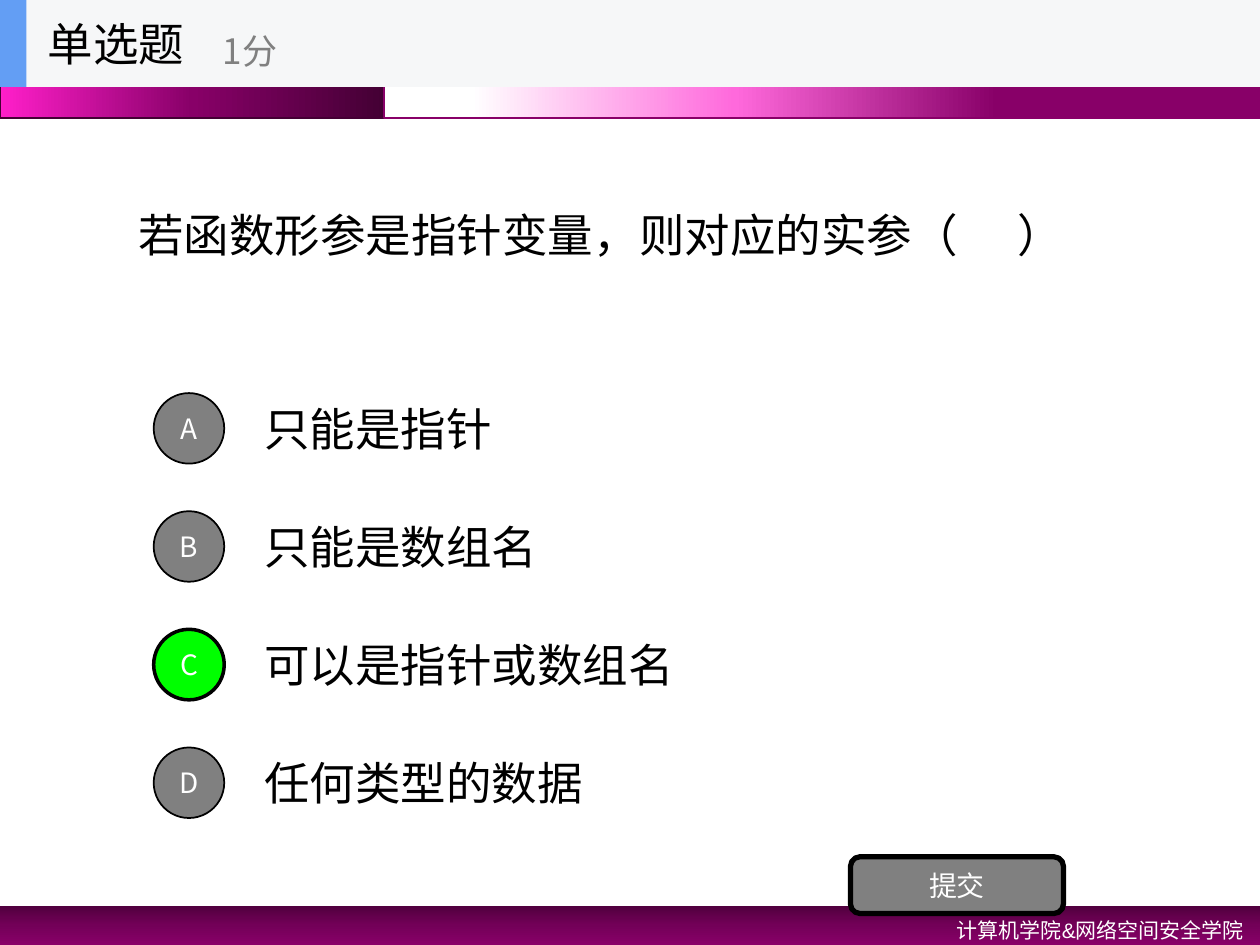
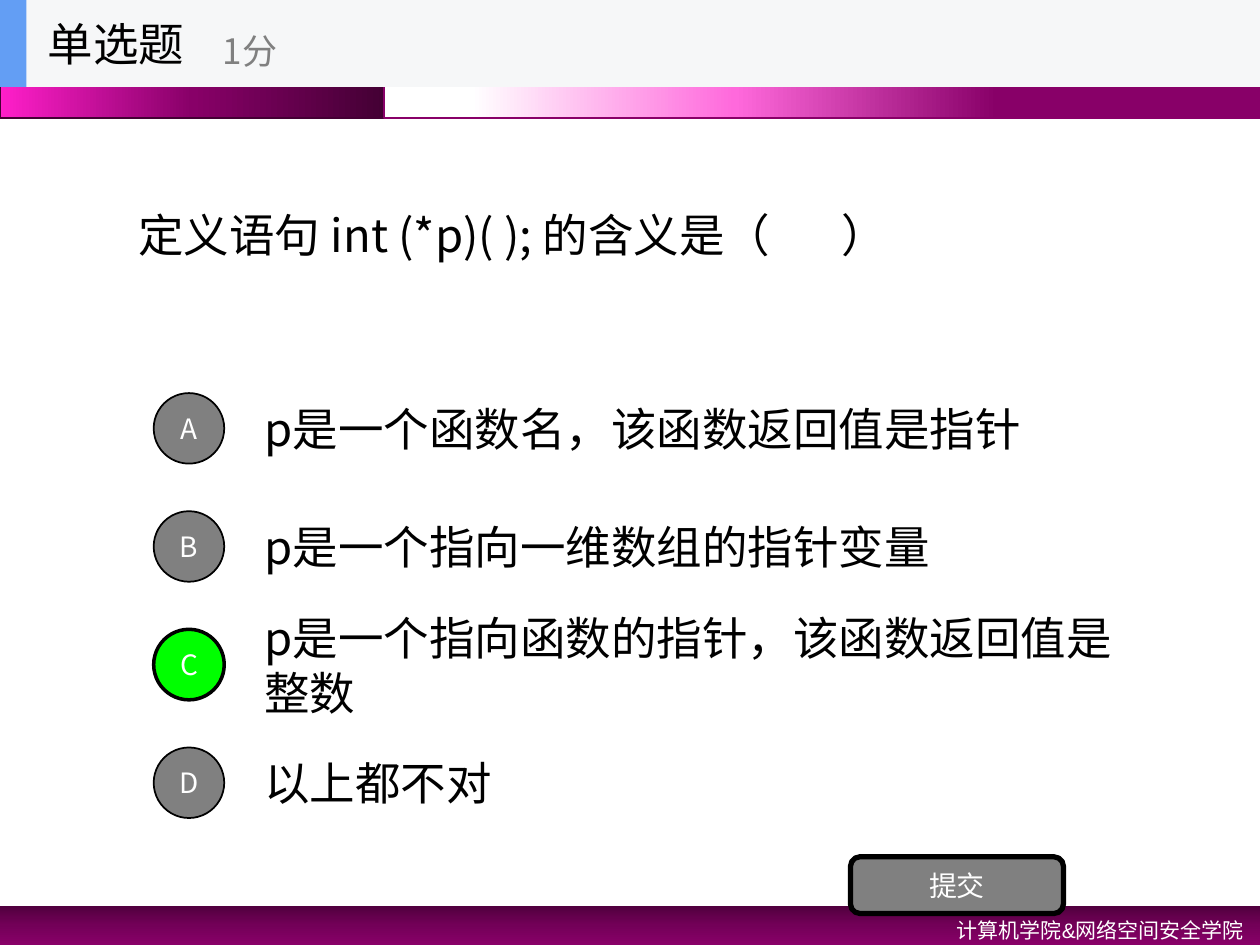
from lxml import etree
from pptx import Presentation, util as u
from pptx.dml.color import RGBColor
from pptx.enum import shapes, text
from pptx.oxml import ns

# Content: the tab in a stem is the answer gap, which ends at "gap_end" inches
HEADING, SCORE, SUBMIT = "单选题", "1分", "提交"
FOOTER = "计算机学院&网络空间安全学院"
QUESTIONS = [
    {"stem": "若函数形参是指针变量，则对应的实参（\t）", "gap_end": 6.98, "answer": "C",
     "options": ["只能是指针", "只能是数组名", "可以是指针或数组名", "任何类型的数据"]},
    {"stem": "定义语句 int (*p)( ); 的含义是（\t）", "gap_end": 5.58, "answer": "C",
     "options": ["p是一个函数名，该函数返回值是指针", "p是一个指向一维数组的指针变量",
                 "p是一个指向函数的指针，该函数返回值是整数", "以上都不对"]},
]

# Shared style
WIDTH, HEIGHT = 10, 7.5
CJK, LATIN = "Noto Sans CJK SC", "Arial"
BLACK, WHITE, GREY, GREEN = "000000", "FFFFFF", "808080", "00FF00"
PALE, BLUE, PLUM, PURPLE = "F6F7F8", "639EF4", "440034", "880068"
FOOTER_FADE = [(0, "51003E"), (50, "730058"), (100, PURPLE)]
LEFT_FADE = [(0, PLUM), (50, PURPLE), (100, "FF1FCA")]
RIGHT_FADE = [(30, PURPLE), (60, "FF69DC"), (90, WHITE)]

# Layout in inches
HEAD_H, BAND_H, BAND_SPLIT, FOOTER_TOP = 0.69, 0.94, 3.05, 7.19
ROW_TOP, ROW_PITCH, ROW_H = 3.05, HEIGHT / 8, 0.7
MARGIN, OPTION_LEFT, BADGE = WIDTH / 10, WIDTH / 5, 0.56
BADGE_LEFT = 1.22


def colour(code):
    return RGBColor.from_string(code)


def write(shape, words, size=26, ink=BLACK, font=CJK, align=text.PP_ALIGN.LEFT,
          anchor=text.MSO_ANCHOR.MIDDLE, spacing=None, tab=None):
    frame = shape.text_frame
    frame.word_wrap = True
    frame.vertical_anchor = anchor
    para = frame.paragraphs[0]
    para.alignment = align
    if spacing:
        para.line_spacing = spacing
    if tab:
        stops = etree.SubElement(para._p.get_or_add_pPr(), ns.qn("a:tabLst"))
        etree.SubElement(stops, ns.qn("a:tab"), pos=str(u.Inches(tab)), algn="l")
    span = para.add_run()
    span.text = words
    span.font.size = u.Pt(size)
    span.font.color.rgb = colour(ink)
    span.font.name = font
    etree.SubElement(span._r.get_or_add_rPr(), ns.qn("a:ea"), typeface=font)


def add_text(page, place, words, **style):
    box = page.shapes.add_textbox(*map(u.Inches, place))
    write(box, words, **style)


def fade(shape, stops, angle):
    grad = etree.SubElement(shape._element.spPr, ns.qn("a:gradFill"), rotWithShape="1")
    stop_list = etree.SubElement(grad, ns.qn("a:gsLst"))
    for percent, code in stops:
        stop = etree.SubElement(stop_list, ns.qn("a:gs"), pos=str(percent * 1000))
        etree.SubElement(stop, ns.qn("a:srgbClr"), val=code)
    etree.SubElement(grad, ns.qn("a:lin"), ang=str(angle * 60000), scaled="0")


def add_block(page, place, fill, kind=shapes.MSO_SHAPE.RECTANGLE, angle=180,
              line=None, line_width=1):
    """A fill is one hex colour or a list of gradient stops."""
    block = page.shapes.add_shape(kind, *map(u.Inches, place))
    if isinstance(fill, str):
        block.fill.solid()
        block.fill.fore_color.rgb = colour(fill)
    else:
        fade(block, fill, angle)
    if line:
        block.line.color.rgb = colour(line)
        block.line.width = u.Pt(line_width)
    else:
        block.line.fill.background()
    block.shadow.inherit = False
    return block


def add_button(page, place, label, kind, fill=GREY, line_width=1):
    button = add_block(page, place, fill, kind, line=BLACK, line_width=line_width)
    frame = button.text_frame
    frame.margin_left = frame.margin_right = frame.margin_top = frame.margin_bottom = 0
    write(button, label, size=16, ink=WHITE, align=text.PP_ALIGN.CENTER)


def add_bands(page):
    add_block(page, (0, FOOTER_TOP, WIDTH, HEIGHT - FOOTER_TOP), FOOTER_FADE, angle=90)
    add_block(page, (0, 0, BAND_SPLIT, BAND_H), LEFT_FADE, line=PLUM)
    add_block(page, (BAND_SPLIT, 0, WIDTH - BAND_SPLIT, BAND_H), RIGHT_FADE, line=PURPLE)
    add_text(page, (6.42, FOOTER_TOP, 3.55, 0.32), FOOTER, size=12, ink=WHITE, font=LATIN,
             align=text.PP_ALIGN.RIGHT, anchor=text.MSO_ANCHOR.TOP, spacing=1.2)


def add_heading(page):
    add_block(page, (0, 0, WIDTH, HEAD_H), PALE)
    add_block(page, (0, 0, 0.21, HEAD_H), BLUE)
    add_text(page, (0.28, 0, 2.08, HEAD_H), HEADING)
    add_text(page, (1.67, 0.12, 2.5, 0.56), SCORE, size=20, ink=GREY)


def add_question(page, question):
    add_text(page, (MARGIN, HEAD_H, WIDTH - 2 * MARGIN, 2.34), question["stem"],
             tab=question["gap_end"])
    for row, (letter, option) in enumerate(zip("ABCD", question["options"])):
        top = ROW_TOP + row * ROW_PITCH
        correct = letter == question["answer"]
        add_text(page, (OPTION_LEFT, top, WIDTH - MARGIN - OPTION_LEFT, ROW_H), option)
        add_button(page, (BADGE_LEFT, top + (ROW_H - BADGE) / 2, BADGE, BADGE), letter,
                   shapes.MSO_SHAPE.OVAL, GREEN if correct else GREY, 2 if correct else 1)
    add_button(page, (6.75, 6.8, 1.69, 0.45), SUBMIT,
               shapes.MSO_SHAPE.ROUNDED_RECTANGLE, line_width=3)


def main():
    deck = Presentation()
    deck.slide_width, deck.slide_height = u.Inches(WIDTH), u.Inches(HEIGHT)
    for question in QUESTIONS:
        page = deck.slides.add_slide(deck.slide_layouts[6])
        add_bands(page)
        add_question(page, question)
        add_heading(page)
    deck.save("out.pptx")


if __name__ == "__main__":
    main()
